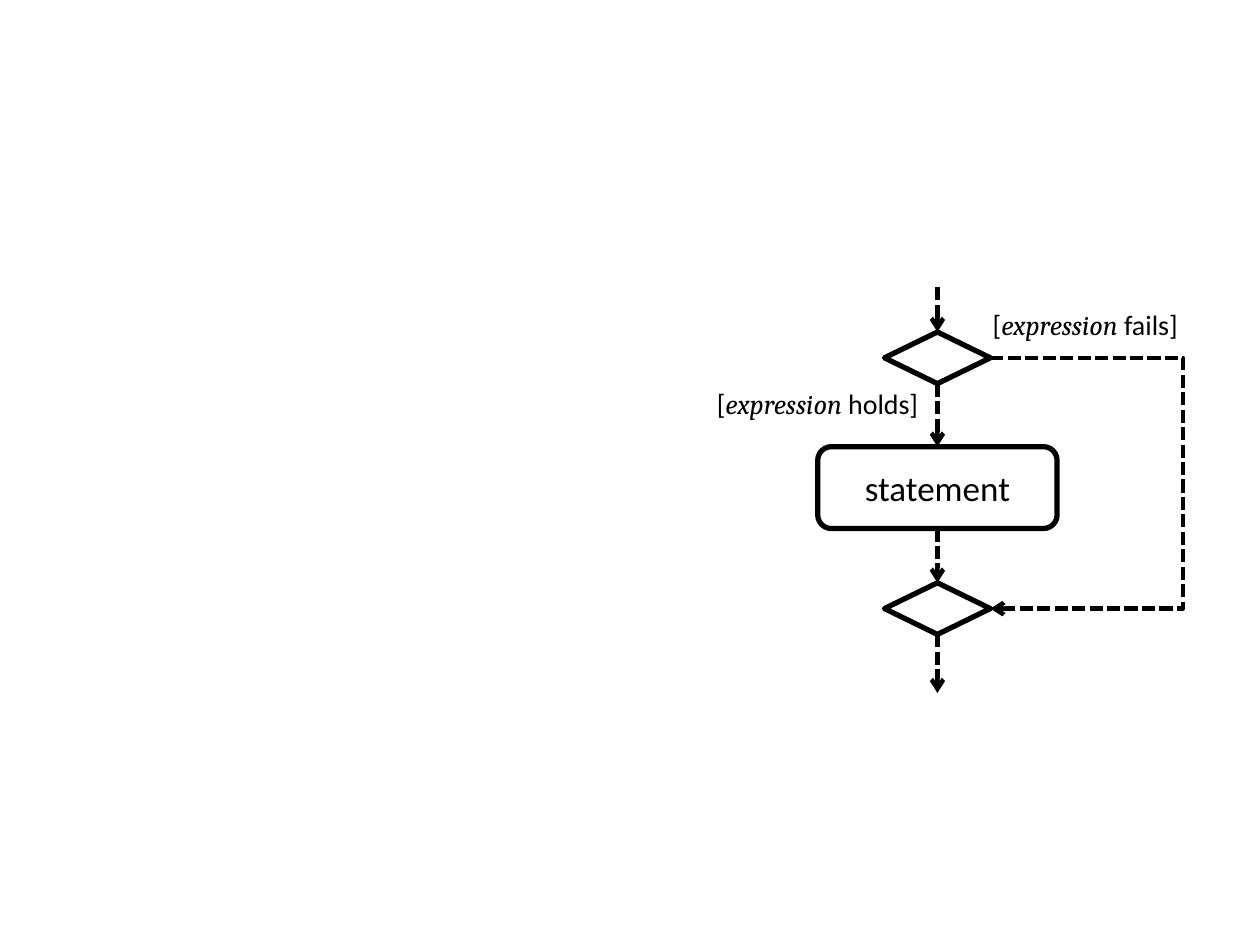
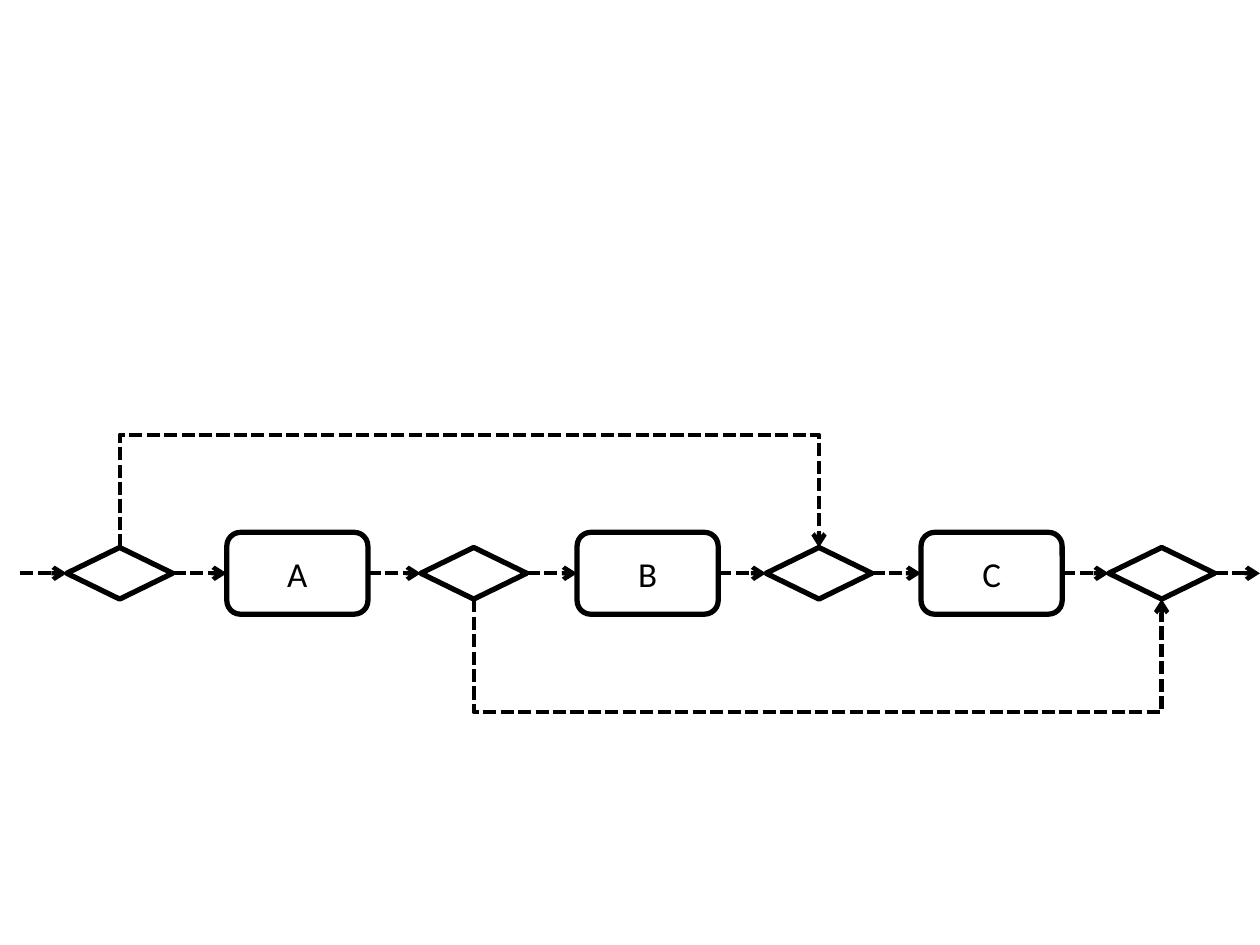
from collections import namedtuple
from itertools import pairwise

from lxml import etree
from pptx import Presentation
from pptx.dml.color import RGBColor
from pptx.enum.dml import MSO_LINE
from pptx.enum.shapes import MSO_CONNECTOR, MSO_SHAPE
from pptx.enum.text import MSO_ANCHOR, MSO_AUTO_SIZE, PP_ALIGN
from pptx.oxml.ns import qn
from pptx.util import Inches, Pt

INK = "000000"
SANS, SERIF = "Calibri", "Cambria"
DIAMOND_SIZE = (0.84, 0.41)
BOX_HEIGHT = 0.65

# Edge points of a drawn node, each an (x, y) pair in inches
Node = namedtuple("Node", "left top right bottom")


def color(hex_value):
    return RGBColor.from_string(hex_value)


def write(paragraph, text, font=SANS, size=20, italic=False):
    run = paragraph.add_run()
    run.text = text
    run.font.name = font
    run.font.size = Pt(size)
    run.font.italic = italic
    run.font.color.rgb = color(INK)


class FlowChart:
    """Draws flow chart elements on the current slide in one style."""

    def __init__(self):
        self.deck = Presentation()
        self.deck.slide_width, self.deck.slide_height = Inches(10), Inches(7.5)
        self.shapes = None

    def new_slide(self):
        self.shapes = self.deck.slides.add_slide(self.deck.slide_layouts[6]).shapes

    def node(self, preset, center, size, label=""):
        (x, y), (width, height) = center, size
        left, top = x - width / 2, y - height / 2
        shape = self.shapes.add_shape(preset, Inches(left), Inches(top),
                                      Inches(width), Inches(height))
        shape.shadow.inherit = False
        shape.fill.background()
        shape.line.color.rgb = color(INK)
        shape.line.width = Pt(3)
        if label:
            shape.text_frame.vertical_anchor = MSO_ANCHOR.MIDDLE
            paragraph = shape.text_frame.paragraphs[0]
            paragraph.alignment = PP_ALIGN.CENTER
            write(paragraph, label)
        return Node((left, y), (x, top), (left + width, y), (x, top + height))

    def decision(self, x, y):
        return self.node(MSO_SHAPE.DIAMOND, (x, y), DIAMOND_SIZE)

    def action(self, x, y, width, label):
        return self.node(MSO_SHAPE.ROUNDED_RECTANGLE, (x, y), (width, BOX_HEIGHT), label)

    def style_flow(self, shape):
        shape.line.color.rgb = color(INK)
        shape.line.width = Pt(2.5)
        shape.line.dash_style = MSO_LINE.SQUARE_DOT
        tail = etree.SubElement(shape.line._get_or_add_ln(), qn("a:tailEnd"))
        tail.set("type", "arrow")

    def arrow(self, start, end):
        connector = self.shapes.add_connector(
            MSO_CONNECTOR.STRAIGHT, *(Inches(value) for value in (*start, *end)))
        self.style_flow(connector)
        etree.SubElement(connector._element.spPr, qn("a:effectLst"))

    def detour(self, *points):
        start, *others = [(Inches(x), Inches(y)) for x, y in points]
        builder = self.shapes.build_freeform(*start)
        builder.add_line_segments(others, close=False)
        route = builder.convert_to_shape()
        route.shadow.inherit = False
        route.fill.background()
        self.style_flow(route)

    def guard(self, left, top, outcome):
        box = self.shapes.add_textbox(Inches(left), Inches(top), Inches(1.85), Inches(0.37))
        box.text_frame.word_wrap = True
        box.text_frame.auto_size = MSO_AUTO_SIZE.SHAPE_TO_FIT_TEXT
        paragraph = box.text_frame.paragraphs[0]
        write(paragraph, "[", size=16)
        write(paragraph, "expression ", font=SERIF, size=16, italic=True)
        write(paragraph, f"{outcome}]", size=16)


def draw_if_statement(chart):
    chart.new_slide()
    axis, bypass = 7.44, 9.39

    # Vertical flow
    split = chart.decision(axis, 2.84)
    statement = chart.action(axis, 3.87, 1.9, "statement")
    merge = chart.decision(axis, 4.83)
    chart.arrow((axis, 2.28), split.top)
    for upper, lower in pairwise((split, statement, merge)):
        chart.arrow(upper.bottom, lower.top)
    chart.arrow(merge.bottom, (axis, 5.5))

    # Way around the statement
    chart.detour(split.right, (bypass, split.right[1]),
                 (bypass, merge.right[1]), merge.right)

    # Conditions
    chart.guard(5.59, 3.02, "holds")
    chart.guard(7.78, 2.39, "fails")


def draw_overlapping_jumps(chart):
    chart.new_slide()
    axis, above, below = 4.55, 3.45, 5.65

    # Horizontal flow, decisions and actions in turn
    decisions = [chart.decision(x, axis) for x in (0.95, 3.76, 6.5, 9.22)]
    actions = [chart.action(x, axis, 1.12, label)
               for x, label in ((2.36, "A"), (5.14, "B"), (7.87, "C"))]
    first, second, third, last = decisions
    chart.arrow((0.16, axis), first.left)
    for before, action, after in zip(decisions, actions, decisions[1:]):
        chart.arrow(before.right, action.left)
        chart.arrow(action.right, after.left)
    chart.arrow(last.right, (10, axis))

    # Jumps that cross each other
    chart.detour(first.top, (first.top[0], above), (third.top[0], above), third.top)
    chart.detour(second.bottom, (second.bottom[0], below),
                 (last.bottom[0], below), last.bottom)


def main():
    chart = FlowChart()
    draw_if_statement(chart)
    draw_overlapping_jumps(chart)
    chart.deck.save("out.pptx")


if __name__ == "__main__":
    main()
